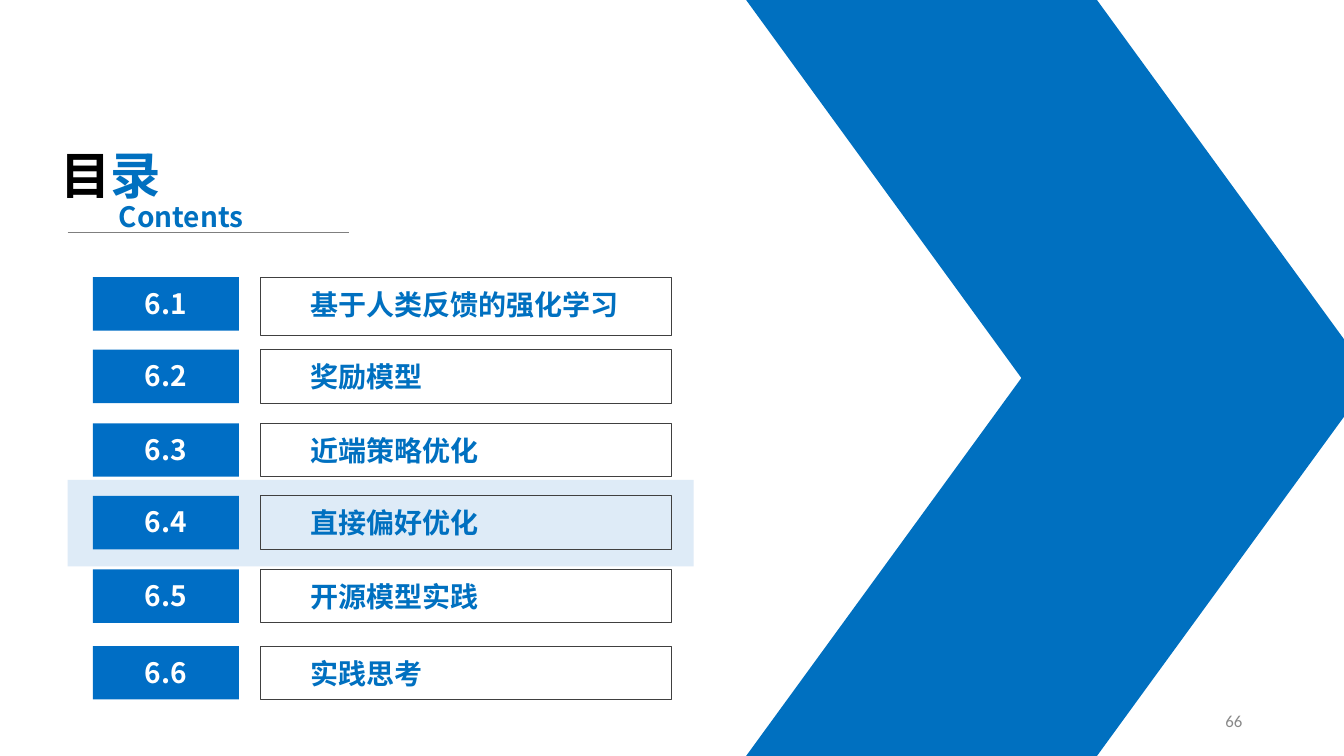
from lxml.etree import SubElement
from pptx import Presentation
from pptx.dml.color import RGBColor
from pptx.enum.shapes import MSO_CONNECTOR, MSO_SHAPE
from pptx.enum.text import MSO_ANCHOR, MSO_AUTO_SIZE, PP_ALIGN
from pptx.oxml.ns import qn
from pptx.util import Inches, Pt

# Content: number, title, top of the row, height of the title frame
SECTIONS = [
    ("6.1", "基于人类反馈的强化学习", 2.75, 0.58),
    ("6.2", "奖励模型", 3.47, 0.53),
    ("6.3", "近端策略优化", 4.2, 0.53),
    ("6.4", "直接偏好优化", 4.92, 0.53),
    ("6.5", "开源模型实践", 5.65, 0.53),
    ("6.6", "实践思考", 6.41, 0.53),
]
HEADING = [("目", "000000"), ("录", "0070C0")]
SUBHEADING = "Contents"
PAGE_NUMBER = "66"

# Formats
BLUE, NUMBER_BLUE, HIGHLIGHT = "0070C0", "006EC5", "DEEBF7"
WHITE, FRAME_GREY, RULE_GREY, PAGE_GREY = "FFFFFF", "404040", "7F7F7F", "898989"
HEADING_FONT = {"name": "Noto Sans CJK SC", "size": Pt(36), "bold": True}
ITEM_FONT = {"name": "Noto Sans CJK SC", "size": Pt(20), "bold": True}
PAGE_FONT = {"name": "Calibri", "size": Pt(12)}


def color(value):
    return RGBColor.from_string(value)


def add_block(page, kind, place, fill=None, line=None):
    block = page.shapes.add_shape(kind, *map(Inches, place))
    block.shadow.inherit = False
    if fill:
        block.fill.solid()
        block.fill.fore_color.rgb = color(fill)
    else:
        block.fill.background()
    if line:
        block.line.color.rgb = color(line)
        block.line.width = Pt(0.75)
    else:
        block.line.fill.background()
    return block


def add_text(page, place, spans, font_format, align=PP_ALIGN.LEFT, anchor=MSO_ANCHOR.TOP):
    box = page.shapes.add_textbox(*map(Inches, place))
    frame = box.text_frame
    frame.word_wrap = True
    frame.auto_size = MSO_AUTO_SIZE.NONE
    frame.vertical_anchor = anchor
    para = frame.paragraphs[0]
    para.alignment = align
    for text, hex_value in spans:
        span = para.add_run()
        span.text = text
        for name, value in font_format.items():
            setattr(span.font, name, value)
        span.font.color.rgb = color(hex_value)
        # East Asian characters take the same typeface
        SubElement(span.font._element, qn("a:ea"), typeface=font_format["name"])


deck = Presentation()
deck.slide_width, deck.slide_height = Inches(13.33), Inches(7.5)
page = deck.slides.add_slide(deck.slide_layouts[6])

# Highlight behind the current section
add_block(page, MSO_SHAPE.RECTANGLE, (0.67, 4.76, 6.21, 0.86), HIGHLIGHT)

# Large arrow made of two mirrored halves
for top, flipped in ((3.75, False), (0, True)):
    half = add_block(page, MSO_SHAPE.PARALLELOGRAM, (7.4, top, 6.21, 3.75), BLUE)
    half.adjustments[0] = 0.728
    if flipped:
        half.element.spPr.xfrm.set("flipV", "1")

# Heading with its rule
add_text(page, (0.5, 1.38, 1.57, 0.71), HEADING, HEADING_FONT)
rule = page.shapes.add_connector(
    MSO_CONNECTOR.STRAIGHT, Inches(0.67), Inches(2.31), Inches(3.46), Inches(2.31))
rule.line.color.rgb = color(RULE_GREY)
rule.line.width = Pt(0.5)
SubElement(rule.element.spPr, qn("a:effectLst"))
add_text(page, (1.08, 1.93, 1.57, 0.44), [(SUBHEADING, BLUE)], ITEM_FONT)

# Section rows
for number, title, top, frame_height in SECTIONS:
    add_block(page, MSO_SHAPE.RECTANGLE, (2.58, top, 4.08, frame_height), line=FRAME_GREY)
    add_text(page, (2.98, top + 0.05, 3.69, 0.44), [(title, BLUE)], ITEM_FONT)
    add_block(page, MSO_SHAPE.RECTANGLE, (0.92, top, 1.45, 0.53), NUMBER_BLUE)
    add_text(page, (1.12, top + 0.04, 1.05, 0.44), [(number, WHITE)], ITEM_FONT,
             PP_ALIGN.CENTER)

# Page number
add_text(page, (9.42, 6.95, 3, 0.4), [(PAGE_NUMBER, PAGE_GREY)], PAGE_FONT,
         PP_ALIGN.RIGHT, MSO_ANCHOR.MIDDLE)

deck.save("out.pptx")
